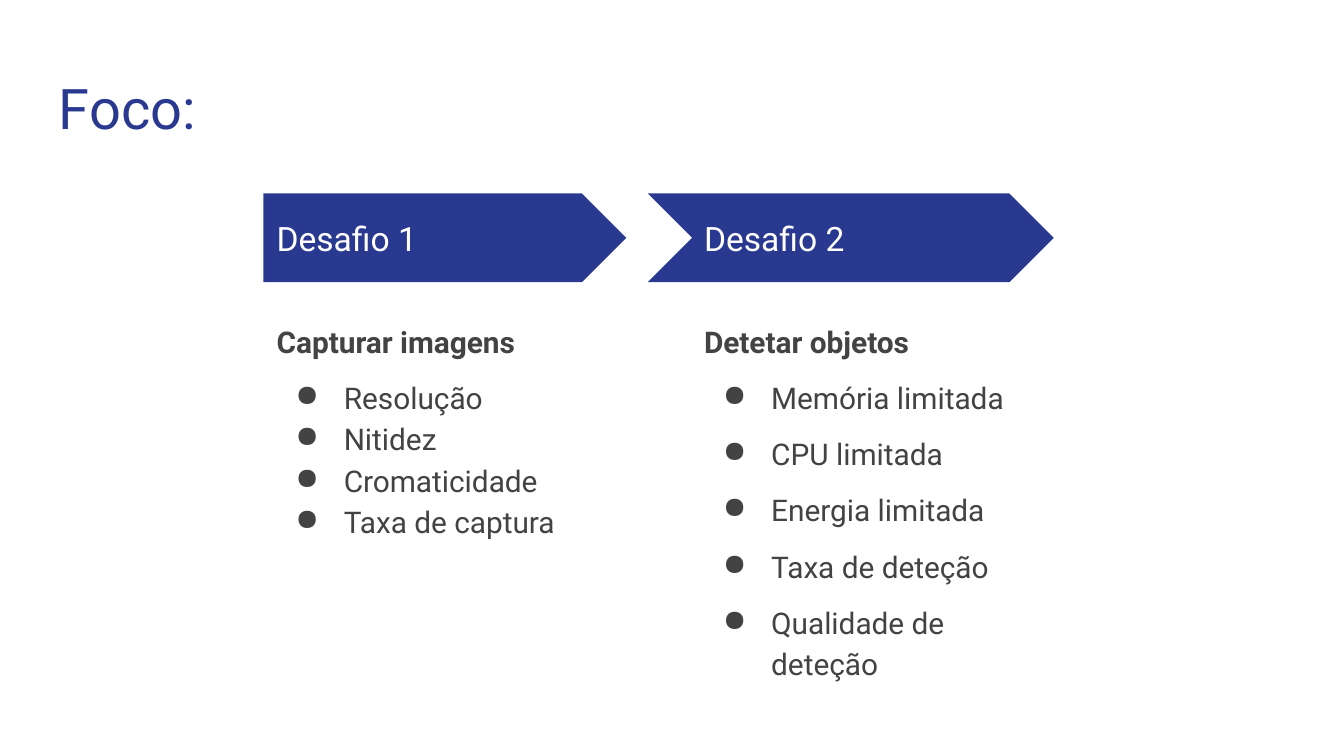
from lxml import etree
from pptx import Presentation
from pptx.dml.color import RGBColor
from pptx.enum.shapes import MSO_SHAPE
from pptx.enum.text import MSO_ANCHOR
from pptx.oxml.ns import qn
from pptx.util import Inches, Pt

PLATE, CHEVRON = MSO_SHAPE.PENTAGON, MSO_SHAPE.CHEVRON
TOP, MIDDLE = MSO_ANCHOR.TOP, MSO_ANCHOR.MIDDLE
BLUE, GRAY, WHITE = "2A3990", "434343", "FFFFFF"


def color(code):
    return RGBColor.from_string(code)


class Deck:
    font = "Roboto"

    def __init__(self, slide):
        self.slide = slide

    def style(self, para, size, code, bold=False):
        para.font.name = self.font
        para.font.size = Pt(size)
        para.font.bold = bold
        para.font.color.rgb = color(code)

    def text(self, box, words, size, code, anchor=TOP, bold=False):
        shape = self.slide.shapes.add_textbox(*map(Inches, box))
        frame = shape.text_frame
        frame.word_wrap = True
        frame.vertical_anchor = anchor
        frame.margin_left = frame.margin_right = Inches(0.1)
        frame.margin_top = frame.margin_bottom = Inches(0.1)
        para = frame.paragraphs[0]
        para.text = words
        self.style(para, size, code, bold)
        return frame

    def arrow(self, kind, box):
        shape = self.slide.shapes.add_shape(kind, *map(Inches, box))
        shape.shadow.inherit = False
        shape.adjustments[0] = 0.5
        shape.fill.solid()
        shape.fill.fore_color.rgb = color(BLUE)
        shape.line.fill.background()

    def bullet(self, para):
        props = para._p.get_or_add_pPr()
        props.set("marL", str(Inches(0.5)))
        props.set("indent", str(Inches(-0.36)))
        tint = etree.SubElement(props, qn("a:buClr"))
        etree.SubElement(tint, qn("a:srgbClr"), val=GRAY)
        etree.SubElement(props, qn("a:buChar"), char="●")

    def points(self, box, head, items, loose):
        frame = self.text(box, head, 16, GRAY, bold=True)
        frame.paragraphs[0].line_spacing = 1.15
        for i, item in enumerate(items):
            para = frame.add_paragraph()
            para.text = item
            self.bullet(para)
            para.line_spacing = 1.15
            para.space_before = Pt(8 if loose or i == 0 else 0)
            self.style(para, 16, GRAY)
        if loose:
            para.space_after = Pt(8)


# Widescreen slide, 16:9
prs = Presentation()
prs.slide_width = Inches(10)
prs.slide_height = prs.slide_width * 9 // 16
deck = Deck(prs.slides.add_slide(prs.slide_layouts[6]))

# Title
deck.text((0.34, 0.45, 9.32, 0.66), "Foco:", 30, BLUE)

# Challenges: arrow kind, arrow left, arrow width, text left, label, head,
# items, loose spacing
steps = [
    (PLATE, 1.96, 2.7, 1.96, "Desafio 1", "Capturar imagens",
     ["Resolução", "Nitidez", "Cromaticidade", "Taxa de captura"], False),
    (CHEVRON, 4.82, 3.02, 5.14, "Desafio 2", "Detetar objetos",
     ["Memória limitada", "CPU limitada", "Energia limitada",
      "Taxa de deteção", "Qualidade de deteção"], True),
]
for kind, x, width, left, label, head, items, loose in steps:
    deck.arrow(kind, (x, 1.44, width, 0.66))
    deck.text((left, 1.6, 2.47, 0.34), label, 18, WHITE, MIDDLE)
    deck.points((left, 2.27, 2.7, 2.9), head, items, loose)

prs.save("out.pptx")
